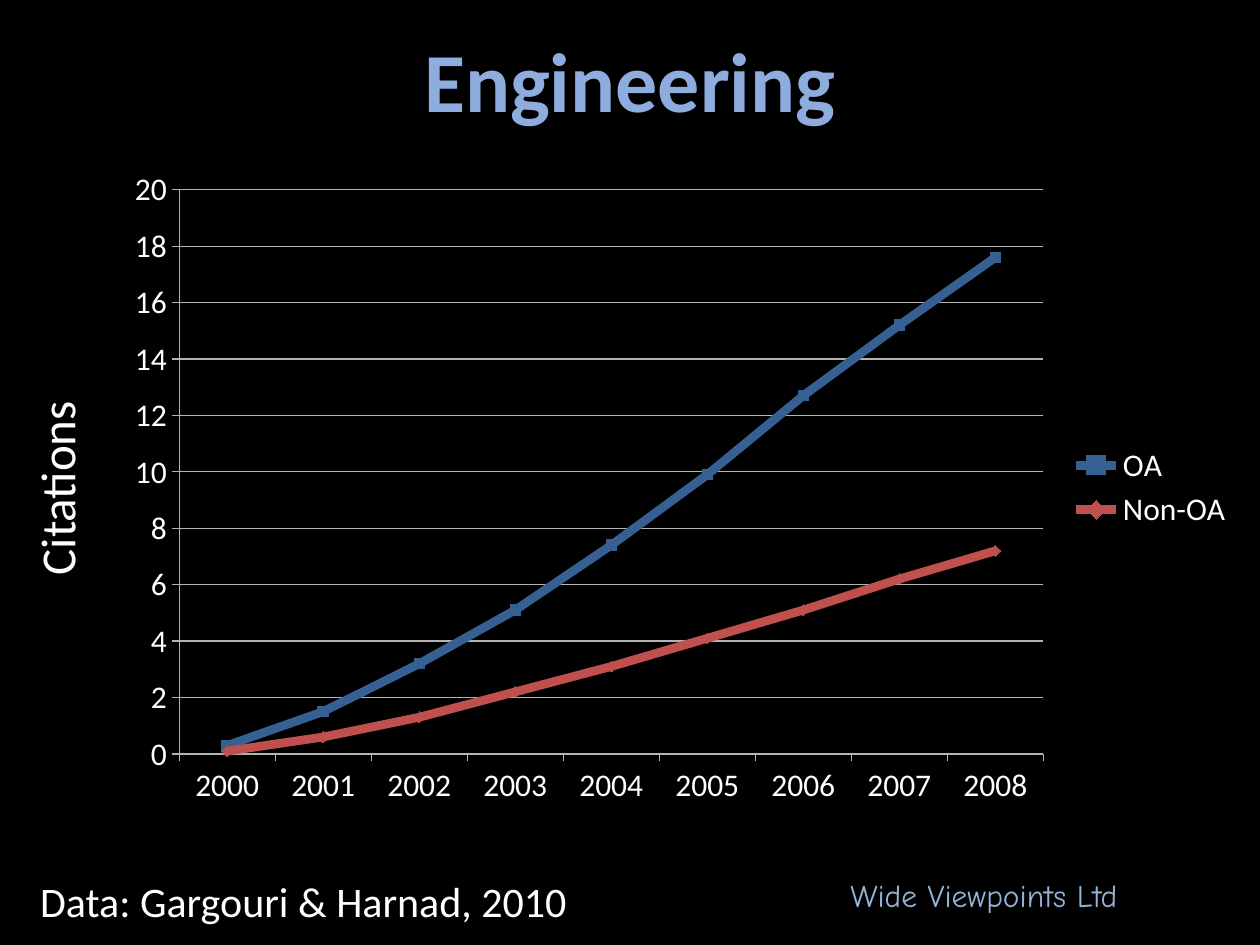
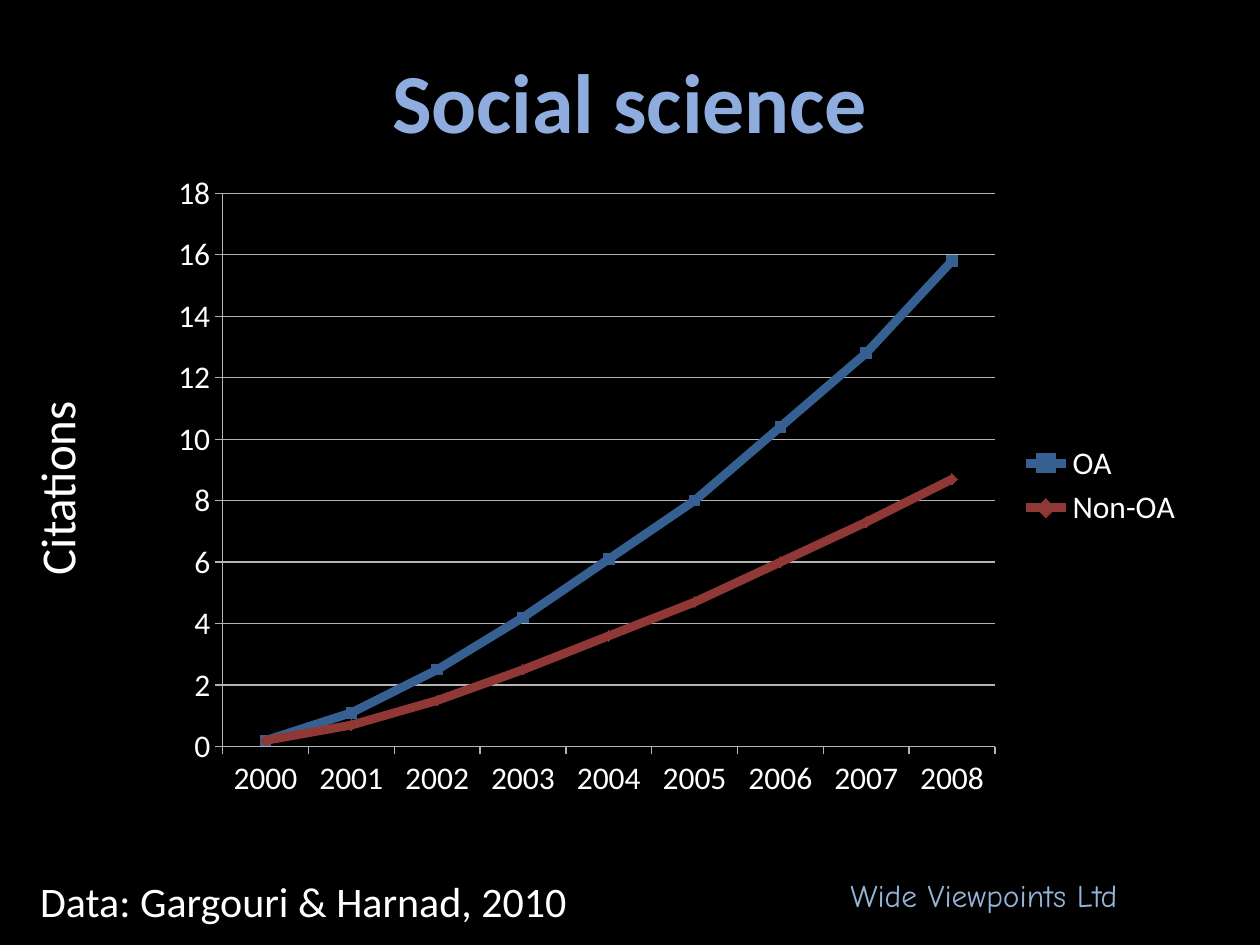
import pptx
import pptx.util
import pptx.chart.data
import pptx.dml.color
import pptx.enum.chart
import pptx.enum.text

RGBColor = pptx.dml.color.RGBColor
Pt = pptx.util.Pt
PP_ALIGN = pptx.enum.text.PP_ALIGN
MSO_ANCHOR = pptx.enum.text.MSO_ANCHOR
XL_MARKER = pptx.enum.chart.XL_MARKER_STYLE

# Colours and fonts
BLACK = RGBColor(0x00, 0x00, 0x00)
WHITE = RGBColor(0xFF, 0xFF, 0xFF)
TITLE_BLUE = RGBColor(0x8F, 0xAC, 0xDE)
FOOTER_BLUE = RGBColor(0x95, 0xB3, 0xD7)
GRID_GREY = RGBColor(0xB3, 0xB3, 0xB3)
OA_BLUE = RGBColor(0x37, 0x60, 0x92)
NON_OA_RED = RGBColor(0xC0, 0x50, 0x4D)
NON_OA_DARK_RED = RGBColor(0x8F, 0x38, 0x36)
FONT = "Calibri"
FOOTER_FONT = "Comic Neue"

# The slide is a grid of 100 columns by 75 rows
COLS, ROWS = 100, 75
YEARS = [str(year) for year in range(2000, 2009)]
MARKERS = [XL_MARKER.SQUARE, XL_MARKER.DIAMOND]


class Deck:
    """Holds the shared style and the current slide."""

    def __init__(self):
        self.prs = pptx.Presentation()
        self.prs.slide_width = pptx.util.Inches(10)
        self.prs.slide_height = pptx.util.Inches(7.5)
        fill = self.prs.slide_master.background.fill
        fill.solid()
        fill.fore_color.rgb = BLACK
        self.s = None

    def box(self, col, row, cols, rows):
        """Turn grid units into left, top, width and height."""
        x = self.prs.slide_width / COLS
        y = self.prs.slide_height / ROWS
        return int(col * x), int(row * y), int(cols * x), int(rows * y)

    def style(self, p, size, color, name=FONT, bold=False):
        p.font.size, p.font.name, p.font.bold = Pt(size), name, bold
        p.font.color.rgb = color

    def slide(self, title, top, height):
        self.s = self.prs.slides.add_slide(self.prs.slide_layouts[5])
        sp = self.s.shapes.title
        sp.left, sp.top, sp.width, sp.height = self.box(5, top, 90, height)
        tf = sp.text_frame
        tf.text = title
        tf.auto_size = pptx.enum.text.MSO_AUTO_SIZE.NONE
        tf.vertical_anchor = MSO_ANCHOR.MIDDLE
        p = tf.paragraphs[0]
        p.alignment = PP_ALIGN.CENTER
        self.style(p, 48, TITLE_BLUE, bold=True)

    def text(self, text, at, size, color, name=FONT, upward=False):
        tf = self.s.shapes.add_textbox(*self.box(*at)).text_frame
        tf.word_wrap = True
        p = tf.paragraphs[0]
        p.text = text
        self.style(p, size, color, name)
        if upward:
            p.alignment = PP_ALIGN.CENTER
            tf._txBody.bodyPr.set("vert", "vert270")

    def line_chart(self, at, series, colors, top_value):
        data = pptx.chart.data.CategoryChartData()
        data.categories = YEARS
        for name, values in series.items():
            data.add_series(name, values)
        chart = self.s.shapes.add_chart(
            pptx.enum.chart.XL_CHART_TYPE.LINE_MARKERS,
            *self.box(*at), data).chart
        chart.has_title = False
        self.style(chart, 18, WHITE)
        chart.has_legend = True
        chart.legend.position = pptx.enum.chart.XL_LEGEND_POSITION.RIGHT
        chart.legend.include_in_layout = False

        # Axes and gridlines
        axis = chart.value_axis
        axis.minimum_scale, axis.maximum_scale = 0, top_value
        axis.major_unit = 2
        axis.has_major_gridlines = True
        for part in (axis, chart.category_axis, axis.major_gridlines):
            part.format.line.color.rgb = GRID_GREY
            part.format.line.width = Pt(0.75)
        for part in (axis, chart.category_axis):
            part.major_tick_mark = pptx.enum.chart.XL_TICK_MARK.OUTSIDE

        # Lines and markers
        plot = chart.plots[0]
        plot.vary_by_categories = False
        for line, color, marker in zip(plot.series, colors, MARKERS):
            line.smooth = False
            line.format.line.color.rgb = color
            line.format.line.width = Pt(5)
            line.marker.style = marker
            line.marker.size = 6
            line.marker.format.fill.solid()
            line.marker.format.fill.fore_color.rgb = color
            line.marker.format.line.color.rgb = color

    def labels(self):
        """Axis caption, data source and footer, the same on each slide."""
        self.text("Citations", (1.6, 23.1, 6.7, 31.3), 28, WHITE, upward=True)
        self.text("Data: Gargouri & Harnad, 2010", (2.2, 69, 47.8, 5), 24, WHITE)
        self.text("Wide Viewpoints Ltd", (66.5, 69, 30.7, 4), 18,
                  FOOTER_BLUE, FOOTER_FONT)


def main():
    deck = Deck()

    # Engineering
    deck.slide("Engineering", 0, 12.5)
    deck.line_chart(
        (8.9, 12.5, 90, 52.4),
        {"OA": [0.3, 1.5, 3.2, 5.1, 7.4, 9.9, 12.7, 15.2, 17.6],
         "Non-OA": [0.1, 0.6, 1.3, 2.2, 3.1, 4.1, 5.1, 6.2, 7.2]},
        [OA_BLUE, NON_OA_RED], 20)
    deck.labels()

    # Social science
    deck.slide("Social science", 3, 9.8)
    deck.line_chart(
        (12.5, 12.8, 82.4, 51.5),
        {"OA": [0.2, 1.1, 2.5, 4.2, 6.1, 8, 10.4, 12.8, 15.8],
         "Non-OA": [0.2, 0.7, 1.5, 2.5, 3.6, 4.7, 6, 7.3, 8.7]},
        [OA_BLUE, NON_OA_DARK_RED], 18)
    deck.labels()

    deck.prs.save("out.pptx")


if __name__ == "__main__":
    main()
